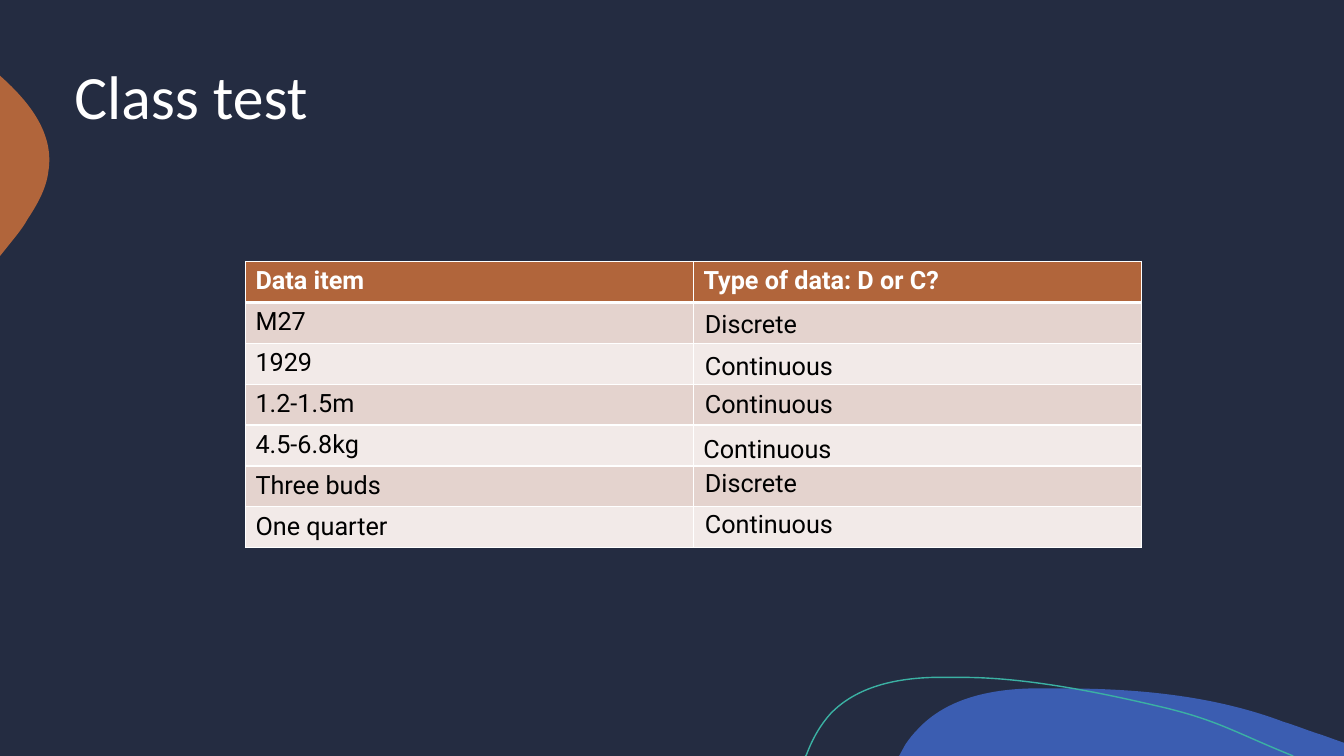
import lxml.etree
import pptx
import pptx.util
import pptx.dml.color
import pptx.enum.text
import pptx.oxml
import pptx.oxml.ns

THEME = {
    "night": "242C41", "blue": "3B5DB1", "rust": "B1653B", "teal": "3BB1A3",
    "white": "FFFFFF", "black": "000000", "bands": ["E4D3CE", "F2EAE8"],
    "head": "Calibri", "body": "Roboto", "big": 44, "mid": 18,
}

deck = pptx.Presentation()
deck.slide_width = pptx.util.Inches(40 / 3)
deck.slide_height = pptx.util.Inches(7.5)
slide = deck.slides.add_slide(deck.slide_layouts[6])

# Square grid with 750 rows
col = deck.slide_width / 1333.33
row = deck.slide_height / 750


def tint(name):
    return pptx.dml.color.RGBColor.from_string(name)


def write(frame, text, size, font, color, bold=False):
    run = frame.paragraphs[0].add_run()
    run.text = text
    run.font.size = pptx.util.Pt(size)
    run.font.name = font
    run.font.bold = bold
    run.font.color.rgb = tint(color)


slide.background.fill.solid()
slide.background.fill.fore_color.rgb = tint(THEME["night"])

# Waves: each step is one point (line) or three points (cubic curve)
waves = [
    ("blue", True, (1054, 683), [
        [(1128, 683), (1204, 690), (1273, 716)],
        [(1286, 720), (1298, 725), (1311, 729)],
        [(1333.33, 737)], [(1333.33, 750)], [(892, 750)], [(898, 739)],
        [(902, 733), (906, 728), (911, 723)],
        [(939, 693), (982, 684), (1023, 683)],
        [(1033, 683), (1043, 683), (1054, 683)]]),
    ("rust", True, (0, 75), [
        [(1, 76)],
        [(30, 102), (54, 133), (48, 170)],
        [(46, 187), (37, 203), (27, 218)],
        [(24, 224), (17, 233), (8, 244)],
        [(0, 254)]]),
    ("teal", False, (799, 750), [
        [(800, 749)],
        [(806, 733), (814, 719), (824, 708)],
        [(850, 681), (889, 673), (926, 672)],
        [(955, 672)],
        [(1022, 672), (1100, 689), (1155, 702)],
        [(1209, 715), (1226, 727), (1283, 750)]]),
]
for color, solid, start, steps in waves:
    pen = slide.shapes.build_freeform(start[0] * col, start[1] * row)
    pen.add_line_segments(
        [(x * col, y * row) for x, y in (step[-1] for step in steps)], close=solid)
    wave = pen.convert_to_shape()
    wave.shadow.inherit = False
    if solid:
        wave.fill.solid()
        wave.fill.fore_color.rgb = tint(THEME[color])
        wave.line.fill.background()
    else:
        wave.fill.background()
        wave.line.color.rgb = tint(THEME[color])
        wave.line.width = pptx.util.Pt(1)
    # Bend the segments that have control points
    parts = wave._element.findall(".//" + pptx.oxml.ns.qn("a:lnTo"))
    for part, step in zip(parts, steps):
        if len(step) == 3:
            part.tag = pptx.oxml.ns.qn("a:cubicBezTo")
            for i, (x, y) in enumerate(step[:2]):
                part.insert(i, lxml.etree.Element(
                    pptx.oxml.ns.qn("a:pt"),
                    x=str(round(x * col) - wave.left),
                    y=str(round(y * row) - wave.top)))

# Title
title = slide.shapes.add_textbox(
    int(64 * col), int(15.5 * row), int(1167 * col), int(167 * row)).text_frame
title.word_wrap = True
title.vertical_anchor = pptx.enum.text.MSO_ANCHOR.MIDDLE
title.paragraphs[0].line_spacing = 0.9
write(title, "Class test", THEME["big"], THEME["head"], THEME["white"])

# Table
rows = [("Data item", "Type of data: D or C?"), ("M27", ""), ("1929", ""),
        ("1.2-1.5m", ""), ("4.5-6.8kg", ""), ("Three buds", ""),
        ("One quarter", "")]
table = slide.shapes.add_table(
    len(rows), 2, int(243.5 * col), int(259.5 * row),
    int(889 * col), int(284 * row)).table
for r, words in enumerate(rows):
    for c, word in enumerate(words):
        cell = table.cell(r, c)
        props = cell._tc.get_or_add_tcPr()
        for side in "LRTB":
            thick = (r, side) in [(0, "B"), (1, "T")]
            props.append(pptx.oxml.parse_xml(
                f'<a:ln{side} {pptx.oxml.ns.nsdecls("a")} '
                f'w="{pptx.util.Pt(3 if thick else 1)}"><a:solidFill>'
                f'<a:srgbClr val="{THEME["white"]}"/>'
                f'</a:solidFill></a:ln{side}>'))
        cell.fill.solid()
        cell.fill.fore_color.rgb = tint(
            THEME["bands"][(r - 1) % 2] if r else THEME["rust"])
        if word:
            write(cell.text_frame, word, THEME["mid"], THEME["body"],
                  THEME["black" if r else "white"], bold=r == 0)

# Answers laid over the second column
wide = {"Discrete": 129, "Continuous": 199}
answers = [("Discrete", 689.5, 301), ("Discrete", 689.5, 459),
           ("Continuous", 689.5, 343), ("Continuous", 689.5, 380.5),
           ("Continuous", 688, 425), ("Continuous", 689.5, 499)]
for word, x, y in answers:
    note = slide.shapes.add_textbox(
        int(x * col), int(y * row), int(wide[word] * col), int(40 * row)).text_frame
    note.word_wrap = True
    note.auto_size = pptx.enum.text.MSO_AUTO_SIZE.SHAPE_TO_FIT_TEXT
    write(note, word, THEME["mid"], THEME["body"], THEME["black"])

deck.save("out.pptx")
